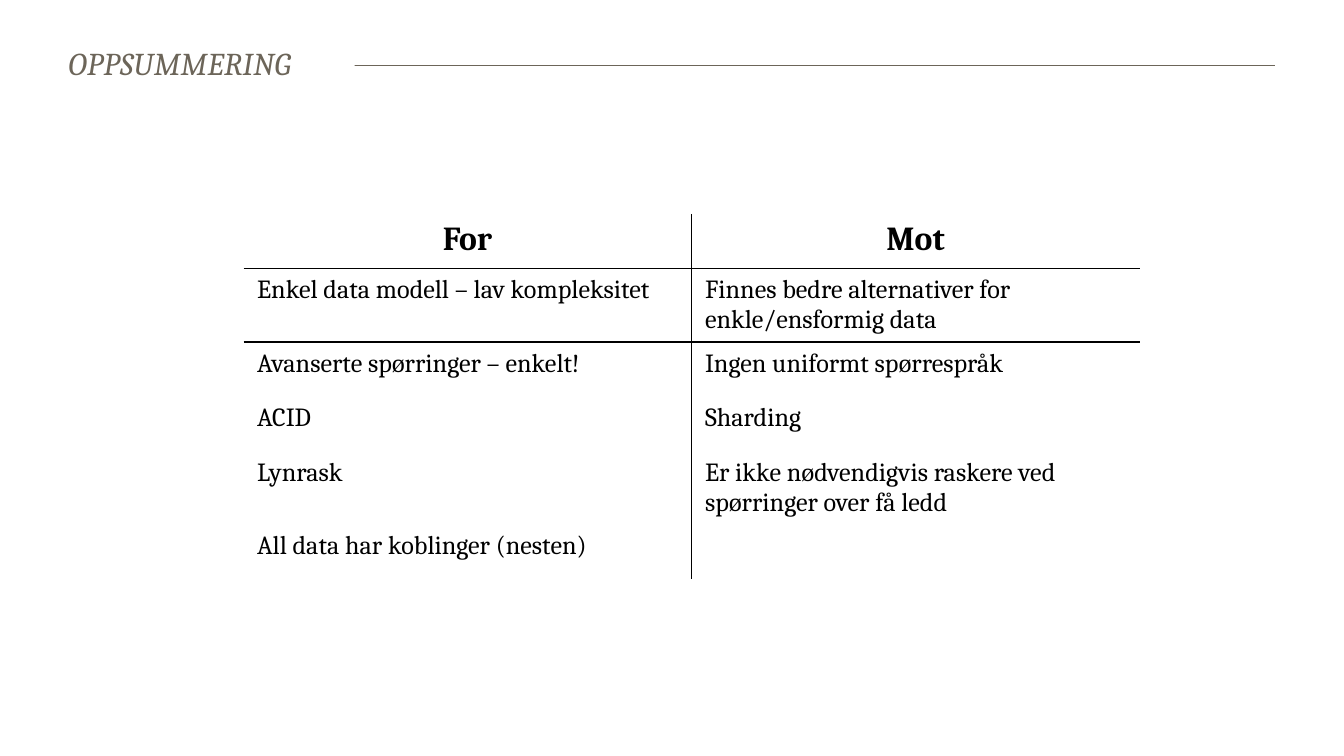
"""Build the summary slide with a table of pros and cons."""
from lxml.etree import SubElement
from pptx import Presentation
from pptx.dml.color import RGBColor
from pptx.enum.shapes import MSO_CONNECTOR, MSO_SHAPE
from pptx.enum.text import MSO_ANCHOR, PP_ALIGN
from pptx.oxml import parse_xml
from pptx.oxml.ns import nsdecls, qn
from pptx.util import Pt

TITLE = "OPPSUMMERING"
HEADERS = ("For", "Mot")
ARGUMENTS = [
    ("Enkel data modell – lav kompleksitet",
     "Finnes bedre alternativer for enkle/ensformig data"),
    ("Avanserte spørringer – enkelt!", "Ingen uniformt spørrespråk"),
    ("ACID", "Sharding"),
    ("Lynrask", "Er ikke nødvendigvis raskere ved spørringer over få ledd"),
    ("All data har koblinger (nesten)", ""),
]
FONT = "Cambria"
GREY, BLACK, WHITE = "6C6559", "000000", "FFFFFF"
NO_STYLE = "{2D5ABB26-0587-4C30-8999-92F81FD0307C}"
ROW_HEIGHT, COLUMN_WIDTH = 29.2, 240


def rgb(color):
    """Turn a hex string into a colour."""
    return RGBColor.from_string(color)


def set_font(p, size, color, bold=False, italic=False):
    """Set the font of a whole paragraph."""
    font = p.font
    font.name, font.size = FONT, Pt(size)
    font.bold, font.italic = bold, italic
    font.color.rgb = rgb(color)


def add_title(s):
    """Draw the rule and the title that covers its left end."""
    rule = s.shapes.add_connector(
        MSO_CONNECTOR.STRAIGHT, Pt(38.2), Pt(35.2), Pt(683.3), Pt(35.2))
    rule.line.color.rgb = rgb(GREY)
    rule.line.width = Pt(0.2)
    SubElement(rule._element.spPr, qn("a:effectLst"))

    sp = s.shapes.add_shape(
        MSO_SHAPE.RECTANGLE, Pt(29.5), Pt(23), Pt(160.5), Pt(21))
    sp.shadow.inherit = False
    sp.fill.solid()
    sp.fill.fore_color.rgb = rgb(WHITE)
    sp.line.fill.background()
    tf = sp.text_frame
    tf.word_wrap = False
    tf.vertical_anchor = MSO_ANCHOR.MIDDLE
    tf.margin_top = tf.margin_bottom = 0
    p = tf.paragraphs[0]
    p.alignment = PP_ALIGN.LEFT
    r = p.add_run()
    r.text = TITLE
    set_font(p, 17, GREY, italic=True)
    r.font._element.set("spc", "20")


def add_borders(cell, sides):
    """Put black lines on the given sides of a cell."""
    tcPr = cell._tc.get_or_add_tcPr()
    for i, side in enumerate(sides):
        tcPr.insert(i, parse_xml(
            f'<a:ln{side} {nsdecls("a")} w="12700"><a:solidFill>'
            f'<a:srgbClr val="{BLACK}"/></a:solidFill></a:ln{side}>'))


def add_arguments(s):
    """Draw the table with a centre line and a line under the header."""
    rows = [HEADERS, *ARGUMENTS]
    frame = s.shapes.add_table(
        len(rows), len(HEADERS), Pt(130.5), Pt(114.6),
        Pt(COLUMN_WIDTH * len(HEADERS)), Pt(ROW_HEIGHT * len(rows)))
    table = frame.table
    table.first_row = table.horz_banding = False
    table._tbl.tblPr.find(qn("a:tableStyleId")).text = NO_STYLE
    for i, texts in enumerate(rows):
        table.rows[i].height = Pt(ROW_HEIGHT)
        for j, text in enumerate(texts):
            cell = table.cell(i, j)
            cell.fill.background()
            cell.text = text
            p = cell.text_frame.paragraphs[0]
            header = i == 0
            p.alignment = PP_ALIGN.CENTER if header else PP_ALIGN.LEFT
            set_font(p, 18 if header else 14, BLACK, bold=header)
            add_borders(cell, "RL"[j] + {0: "B", 1: "T"}.get(i, ""))


def main():
    """Build and save the slide."""
    prs = Presentation()
    prs.slide_width, prs.slide_height = Pt(720), Pt(405)
    s = prs.slides.add_slide(prs.slide_layouts[6])
    add_title(s)
    add_arguments(s)
    prs.save("out.pptx")


if __name__ == "__main__":
    main()
